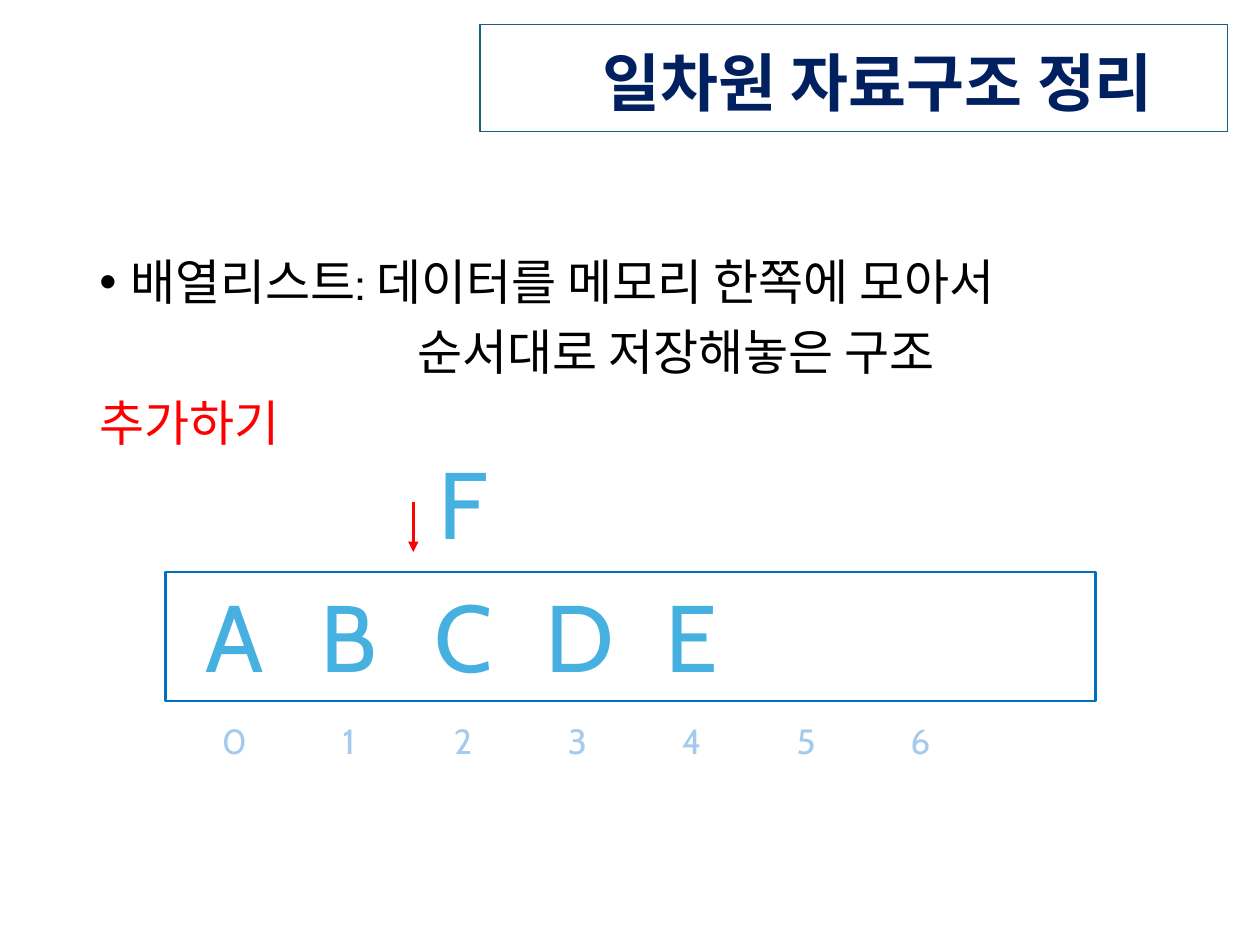
from lxml import etree
from pptx import Presentation
from pptx.dml.color import RGBColor
from pptx.enum.shapes import MSO_CONNECTOR, MSO_SHAPE
from pptx.enum.text import MSO_ANCHOR, MSO_AUTO_SIZE, PP_ALIGN
from pptx.oxml.ns import qn
from pptx.util import Pt

RECTANGLE = MSO_SHAPE.RECTANGLE
STRAIGHT = MSO_CONNECTOR.STRAIGHT
MIDDLE = MSO_ANCHOR.MIDDLE
GROW = MSO_AUTO_SIZE.SHAPE_TO_FIT_TEXT
CENTER, RIGHT = PP_ALIGN.CENTER, PP_ALIGN.RIGHT

FONT = "Cabin"
NAVY = RGBColor(0x00, 0x20, 0x60)
TEAL = RGBColor(0x15, 0x60, 0x82)
BLUE = RGBColor(0x00, 0x70, 0xC0)
SKY = RGBColor(0x46, 0xB1, 0xE1)
PALE = RGBColor(0xA6, 0xCA, 0xEC)
RED = RGBColor(0xFF, 0x00, 0x00)
BLACK = RGBColor(0x00, 0x00, 0x00)
WHITE = RGBColor(0xFF, 0xFF, 0xFF)

# Array cells: left of the first one, distance between them, size
CELL_LEFT, CELL_STEP = 108.5, 65.32
CELL_WIDTH, CELL_HEIGHT = 51, 44.6


def set_all(target, values):
    for name, value in values.items():
        setattr(target, name, value)


def write(paragraph, text, size, color, bold=False, **layout):
    paragraph.text = text
    set_all(paragraph, layout)
    set_all(paragraph.font, {"name": FONT, "size": Pt(size), "bold": bold})
    paragraph.font.color.rgb = color


def set_indent(paragraph, left, first=0, bullet=None):
    properties = paragraph._p.get_or_add_pPr()
    properties.set("marL", str(Pt(left)))
    properties.set("indent", str(Pt(first)))
    if bullet:
        etree.SubElement(properties, qn("a:buFont")).set("typeface", "Arial")
        etree.SubElement(properties, qn("a:buChar")).set("char", bullet)


def add_title(slide, text):
    title = slide.shapes.title
    set_all(title, {"left": Pt(274.3), "top": Pt(20.9),
                    "width": Pt(427), "height": Pt(47.5)})
    title.line.color.rgb = TEAL
    title.line.width = Pt(0.75)
    frame = title.text_frame
    set_all(frame, {"margin_left": Pt(42.5), "margin_right": Pt(42.5),
                    "margin_top": Pt(8.6), "margin_bottom": 0,
                    "vertical_anchor": MIDDLE, "word_wrap": False,
                    "auto_size": GROW})
    write(frame.paragraphs[0], text, 36, NAVY, True,
          alignment=RIGHT, line_spacing=0.9)


def add_text_box(slide, left, top, width, height):
    box = slide.shapes.add_textbox(Pt(left), Pt(top), Pt(width), Pt(height))
    box.text_frame.word_wrap = True
    return box.text_frame


def add_body(slide):
    frame = add_text_box(slide, 49.7, 144, 670, 342.7)
    lines = [
        ("배열리스트: 데이터를 메모리 한쪽에 모아서", BLACK, (18, -18, "•")),
        ("순서대로 저장해놓은 구조", BLACK, (182,)),
        ("추가하기", RED, (0,)),
    ]
    for index, (text, color, indent) in enumerate(lines):
        paragraph = frame.add_paragraph() if index else frame.paragraphs[0]
        set_indent(paragraph, *indent)
        write(paragraph, text, 28, color, line_spacing=0.9,
              space_before=Pt(10 if index else 0))


def add_cell_text(slide, column, top, text, size, color):
    left = CELL_LEFT + column * CELL_STEP
    frame = add_text_box(slide, left, top, CELL_WIDTH, CELL_HEIGHT)
    frame.vertical_anchor = MIDDLE
    write(frame.paragraphs[0], text, size, color, alignment=CENTER)


def add_frame(slide, left, top, width, height):
    shape = slide.shapes.add_shape(RECTANGLE, Pt(left), Pt(top),
                                   Pt(width), Pt(height))
    shape.shadow.inherit = False
    shape.fill.solid()
    shape.fill.fore_color.rgb = WHITE
    shape.line.color.rgb = BLUE
    shape.line.width = Pt(1.5)


def add_down_arrow(slide, x, top, bottom):
    arrow = slide.shapes.add_connector(STRAIGHT, Pt(x), Pt(top),
                                       Pt(x), Pt(bottom))
    arrow.line.color.rgb = RED
    arrow.line.width = Pt(1.5)
    line = arrow.line._get_or_add_ln()
    etree.SubElement(line, qn("a:tailEnd")).set("type", "triangle")
    etree.SubElement(arrow._element.spPr, qn("a:effectLst"))


def main():
    presentation = Presentation()
    presentation.slide_width, presentation.slide_height = Pt(720), Pt(540)
    slide = presentation.slides.add_slide(presentation.slide_layouts[5])

    # Heading and definition
    add_title(slide, "일차원 자료구조 정리")
    add_body(slide)

    # Array with its values and indexes
    add_frame(slide, 94.5, 326.9, 531.5, 73.7)
    for column, letter in enumerate("ABCDE"):
        add_cell_text(slide, column, 340.6, letter, 54, SKY)
    for column in range(7):
        add_cell_text(slide, column, 400.6, str(column), 20, PALE)

    # Element to insert before index 2
    add_down_arrow(slide, 236.2, 287, 315.4)
    add_cell_text(slide, 2, 264.2, "F", 54, SKY)

    presentation.save("out.pptx")


if __name__ == "__main__":
    main()
